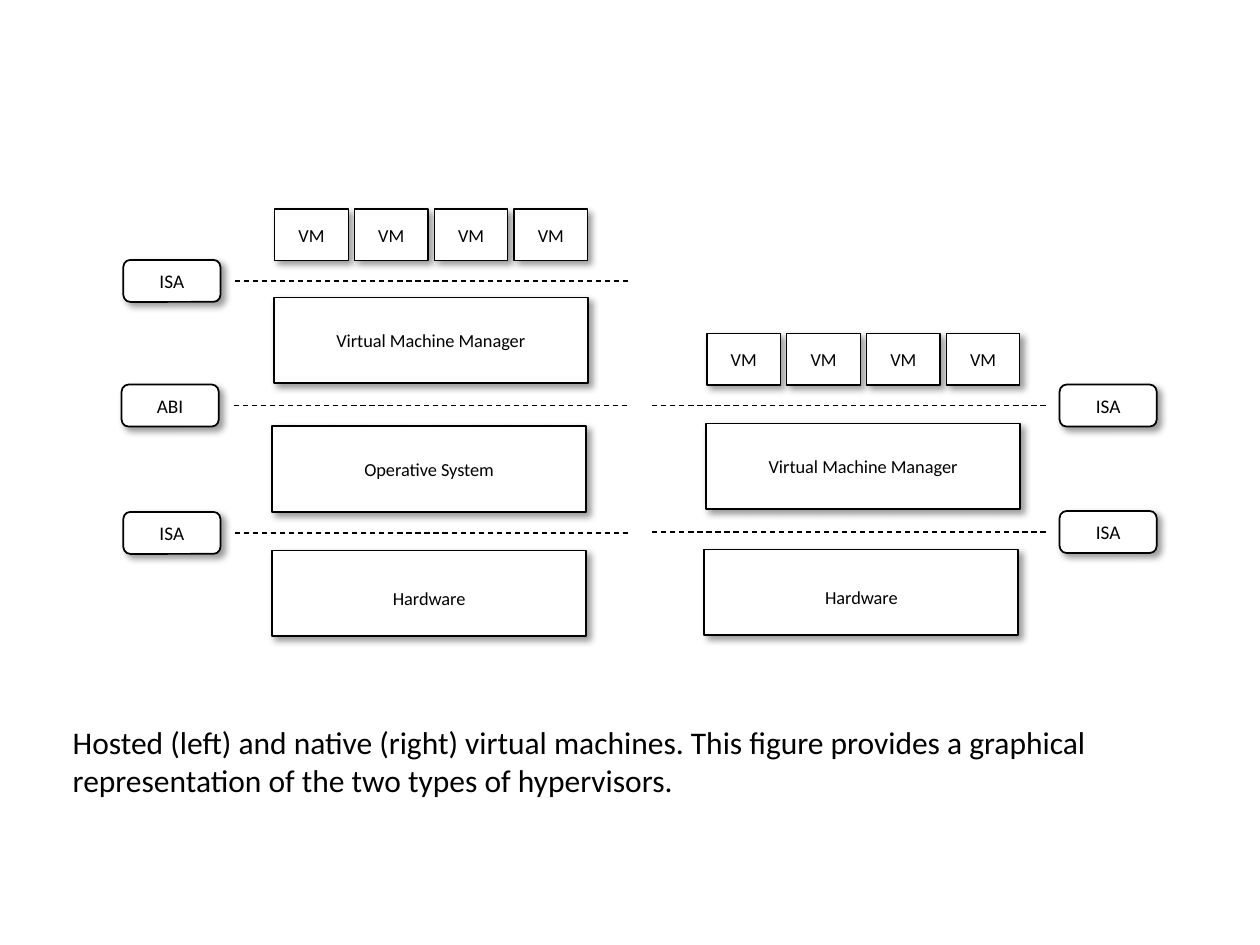
from lxml import etree
from pptx import Presentation
from pptx.dml.color import RGBColor
from pptx.enum.dml import MSO_LINE
from pptx.enum.shapes import MSO_CONNECTOR, MSO_SHAPE
from pptx.enum.text import MSO_ANCHOR, PP_ALIGN
from pptx.oxml.ns import qn
from pptx.util import Pt

RECT, ROUND = MSO_SHAPE.RECTANGLE, MSO_SHAPE.ROUNDED_RECTANGLE
LINE, DASH = MSO_CONNECTOR.STRAIGHT, MSO_LINE.DASH
MID, TOP = MSO_ANCHOR.MIDDLE, MSO_ANCHOR.TOP
CENTER, LEFT = PP_ALIGN.CENTER, PP_ALIGN.LEFT

# Content: layers are (text, left, top), levels are (text, tag left, middle, line left)
STACKS = [
    {"vms": (157, 119.5),
     "layers": [("Hardware", 155.5, 314.5),
                ("Operative System", 155.5, 243.5),
                ("Virtual Machine Manager", 156.5, 170)],
     "levels": [("ISA", 70.5, 304.5, 132.5),
                ("ABI", 69.5, 231.75, 132),
                ("ISA", 70.5, 160.5, 132.5)]},
    {"vms": (404, 190.5),
     "layers": [("Hardware", 402.5, 314),
                ("Virtual Machine Manager", 403.5, 242)],
     "levels": [("ISA", 605.5, 304, 371),
                ("ISA", 605.5, 231.75, 371)]},
]
CAPTION = ("Hosted (left) and native (right) virtual machines. This figure "
           "provides a graphical representation of the two types of hypervisors.")
COLORS = {"ink": "000000", "paper": "FFFFFF"}
FONT = "Calibri"
COUNT, PITCH = 4, 45.6
VM, LAYER, TAG = (42, 29.5), (179.5, 49), (55.5, 24)
SPAN = 226.5
PADS = (7.2, 3.6, 7.2, 3.6)


def color(name):
    return RGBColor.from_string(COLORS[name])


def write(shape, text, size, pads=PADS, align=CENTER, anchor=MID):
    frame = shape.text_frame
    left, top, right, bottom = map(Pt, pads)
    form = {"word_wrap": True, "vertical_anchor": anchor,
            "margin_left": left, "margin_top": top,
            "margin_right": right, "margin_bottom": bottom}
    for key, value in form.items():
        setattr(frame, key, value)
    para = frame.paragraphs[0]
    para.alignment = align
    run = para.add_run()
    run.text = text
    for key, value in {"name": FONT, "size": Pt(size)}.items():
        setattr(run.font, key, value)
    run.font.color.rgb = color("ink")


def shade(shape):
    shape.shadow.inherit = False
    effects = shape._element.spPr.find(qn("a:effectLst"))
    outer = etree.SubElement(effects, qn("a:outerShdw"), blurRad=str(Pt(4)),
                             dist=str(Pt(3)), dir="2700000", algn="tl",
                             rotWithShape="0")
    tint = etree.SubElement(outer, qn("a:srgbClr"), val=COLORS["ink"])
    etree.SubElement(tint, qn("a:alpha"), val="40000")


def box(slide, kind, text, spot, dims, size=10.5, width=1, pads=PADS):
    shape = slide.shapes.add_shape(kind, *map(Pt, spot + dims))
    shape.fill.solid()
    shape.fill.fore_color.rgb = color("paper")
    shape.line.color.rgb = color("ink")
    shape.line.width = Pt(width)
    shade(shape)
    write(shape, text, size, pads)


def rule(slide, left, mid):
    line = slide.shapes.add_connector(LINE, Pt(left + SPAN), Pt(mid),
                                      Pt(left), Pt(mid))
    line.line.color.rgb = color("ink")
    line.line.width = Pt(0.75)
    line.line.dash_style = DASH
    etree.SubElement(line._element.spPr, qn("a:effectLst"))


def build():
    deck = Presentation()
    deck.slide_width, deck.slide_height = Pt(720), Pt(540)
    slide = deck.slides.add_slide(deck.slide_layouts[6])

    for stack in STACKS:
        # Interface levels: dashed line and tag
        for text, left, mid, start in stack["levels"]:
            rule(slide, start, mid)
            box(slide, ROUND, text, (left, mid - TAG[1] / 2), TAG,
                size=11, pads=(0, 3.6, 0, 3.6))
        # System layers
        for text, left, top in stack["layers"]:
            pads = (7.2, 9, 7.2, 3.6) if text == "Hardware" else PADS
            box(slide, RECT, text, (left, top), LAYER, pads=pads)
        # Row of virtual machines
        left, top = stack["vms"]
        for i in range(COUNT):
            box(slide, RECT, "VM", (left + i * PITCH, top), VM, width=0.75)

    # Caption
    note = slide.shapes.add_textbox(Pt(34.5), Pt(409.5), Pt(631), Pt(51))
    write(note, CAPTION, 18, align=LEFT, anchor=TOP)
    deck.save("out.pptx")


if __name__ == "__main__":
    build()
